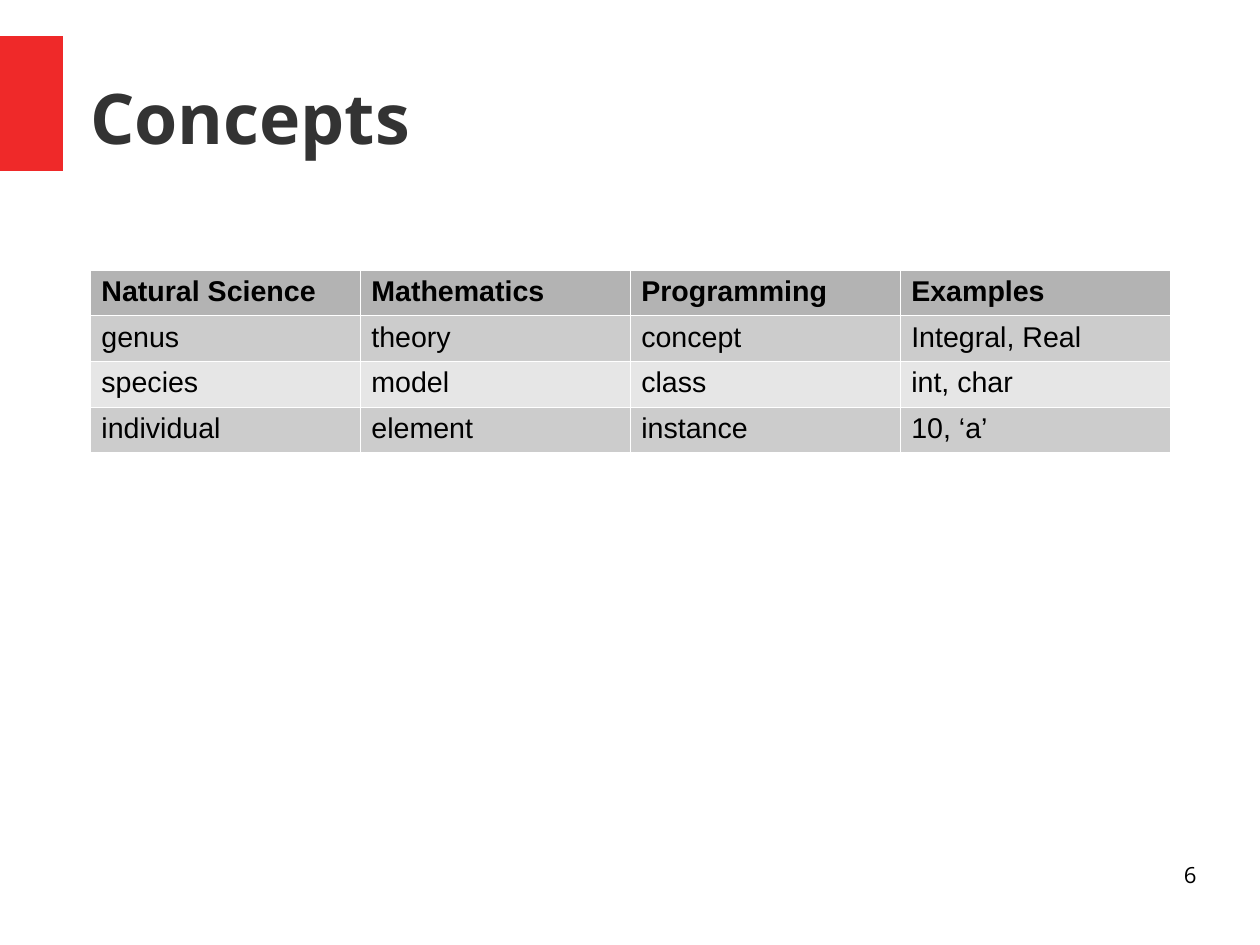
from lxml.etree import SubElement
from pptx import Presentation
from pptx.dml.color import RGBColor
from pptx.enum.shapes import MSO_SHAPE as Shape
from pptx.enum.text import MSO_ANCHOR as Anchor, PP_ALIGN as Align
from pptx.oxml.ns import qn
from pptx.util import Pt

RED = RGBColor(0xEF, 0x29, 0x29)
INK = RGBColor(0x33, 0x33, 0x33)
BLACK = RGBColor(0, 0, 0)
WHITE = RGBColor(255, 255, 255)
HEAD = RGBColor(0xB3, 0xB3, 0xB3)
DARK = RGBColor(0xCC, 0xCC, 0xCC)
LIGHT = RGBColor(0xE6, 0xE6, 0xE6)

LEFT = 56.7
TERMS = [
    ["Natural Science", "Mathematics", "Programming", "Examples"],
    ["genus", "theory", "concept", "Integral, Real"],
    ["species", "model", "class", "int, char"],
    ["individual", "element", "instance", "10, ‘a’"],
]


class Deck:
    sans = "Open Sans"
    body = "Arial"

    def __init__(self, width, height):
        self.prs = Presentation()
        self.prs.slide_width, self.prs.slide_height = Pt(width), Pt(height)
        self.slide = self.prs.slides.add_slide(self.prs.slide_layouts[5])

    def style(self, par, face, size, color, bold=False):
        font = par.font
        font.name, font.size, font.bold = face, Pt(size), bold
        font.color.rgb = color

    def label(self, box, text, size, color, bold, align, anchor):
        frame = box.text_frame
        frame.word_wrap = True
        frame.vertical_anchor = anchor
        frame.margin_left = frame.margin_right = 0
        frame.margin_top = frame.margin_bottom = 0
        par = frame.paragraphs[0]
        par.text, par.alignment = text, align
        self.style(par, self.sans, size, color, bold)

    def title(self, text, left, top, width, height):
        box = self.slide.shapes.title
        box.left, box.top = Pt(left), Pt(top)
        box.width, box.height = Pt(width), Pt(height)
        self.label(box, text, 44, INK, True, Align.LEFT, Anchor.MIDDLE)

    def text(self, text, left, top, width, height):
        box = self.slide.shapes.add_textbox(
            Pt(left), Pt(top), Pt(width), Pt(height))
        self.label(box, text, 14, BLACK, False, Align.RIGHT, Anchor.TOP)

    def block(self, color, left, top, width, height):
        box = self.slide.shapes.add_shape(
            Shape.RECTANGLE, Pt(left), Pt(top), Pt(width), Pt(height))
        box.shadow.inherit = False
        box.fill.solid()
        box.fill.fore_color.rgb = color
        box.line.fill.background()

    def border(self, cell, color, width):
        props = cell._tc.get_or_add_tcPr()
        # Borders must come before the fill
        for i, side in enumerate(("lnL", "lnR", "lnT", "lnB")):
            line = SubElement(props, qn(f"a:{side}"), w=str(Pt(width)))
            fill = SubElement(line, qn("a:solidFill"))
            SubElement(fill, qn("a:srgbClr"), val=str(color))
            props.insert(i, line)

    def table(self, rows, left, top, width, step):
        grid = self.slide.shapes.add_table(
            len(rows), len(rows[0]), Pt(left), Pt(top),
            Pt(width), Pt(step * len(rows))).table
        for r, row in enumerate(rows):
            grid.rows[r].height = Pt(step)
            color = HEAD if r == 0 else DARK if r % 2 else LIGHT
            for c, text in enumerate(row):
                cell = grid.cell(r, c)
                cell.text = text
                cell.fill.solid()
                cell.fill.fore_color.rgb = color
                self.style(cell.text_frame.paragraphs[0],
                           self.body, 18, BLACK, r == 0)
                self.border(cell, WHITE, 0.06)


def main():
    deck = Deck(793.7, 595.3)

    # Heading with its red marker
    deck.block(RED, 0, 22.7, 39.7, 85)
    deck.title("Concepts", LEFT, 24, 697, 99.2)

    # Table of matching terms
    deck.table(TERMS, LEFT, 170.1, 680.3, 28.7)

    # Page number
    deck.text("6", 568.8, 542.3, 184.9, 41)

    deck.prs.save("out.pptx")


if __name__ == "__main__":
    main()
